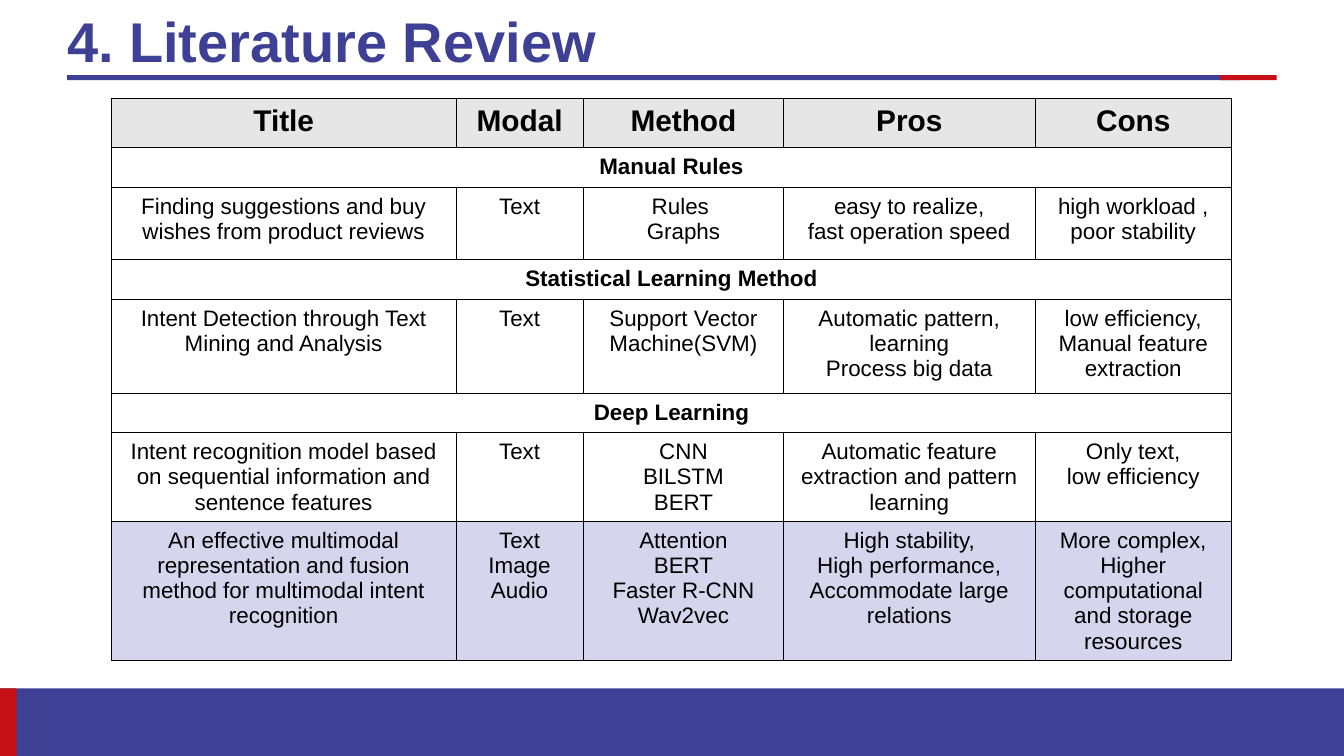
from lxml import etree
from pptx import Presentation
from pptx.dml.color import RGBColor
from pptx.enum.shapes import MSO_SHAPE
from pptx.enum.text import MSO_ANCHOR, MSO_AUTO_SIZE, PP_ALIGN
from pptx.oxml import parse_xml
from pptx.oxml.ns import nsdecls
from pptx.util import Pt

RECTANGLE = MSO_SHAPE.RECTANGLE
MIDDLE = MSO_ANCHOR.MIDDLE
NO_AUTOFIT = MSO_AUTO_SIZE.NONE
LEFT, CENTER = PP_ALIGN.LEFT, PP_ALIGN.CENTER

BLUE = RGBColor(0x3E, 0x40, 0x95)
RED = RGBColor(0xC5, 0x11, 0x16)
BLACK = RGBColor(0, 0, 0)
HEADER_GRAY = RGBColor(0xE7, 0xE6, 0xE6)
HIGHLIGHT = RGBColor(0xD5, 0xD5, 0xED)


def write_text(frame, text, size=12, color=BLACK, bold=False, align=CENTER, spacing=1.0):
    frame.text = text
    for paragraph in frame.paragraphs:
        paragraph.alignment = align
        paragraph.line_spacing = spacing
        paragraph.font.name = "Arial"
        paragraph.font.size = Pt(size)
        paragraph.font.bold = bold
        paragraph.font.color.rgb = color


def add_borders(cell, color=BLACK, width=0.5):
    properties = cell._tc.get_or_add_tcPr()
    for side in ("lnL", "lnR", "lnT", "lnB"):
        line = parse_xml(f'<a:{side} {nsdecls("a")} w="{Pt(width)}"/>')
        fill = etree.SubElement(line, line.tag.replace(side, "solidFill"))
        etree.SubElement(fill, line.tag.replace(side, "srgbClr"), val=str(color))
        properties.append(line)


presentation = Presentation()
presentation.slide_width = Pt(720)
presentation.slide_height = Pt(405)
slide = presentation.slides.add_slide(presentation.slide_layouts[5])

bars = [
    (36, 40.2, 628, 2.8, BLUE),
    (653.6, 40.2, 30.4, 2.8, RED),
    (0, 368.8, 720, 36.2, BLUE),
    (0, 368.8, 9, 36.2, RED),
]
for left, top, width, height, color in bars:
    bar = slide.shapes.add_shape(RECTANGLE, Pt(left), Pt(top), Pt(width), Pt(height))
    bar.shadow.inherit = False
    bar.fill.solid()
    bar.fill.fore_color.rgb = color
    bar.line.fill.background()

title = slide.shapes.title
title.left, title.top, title.width, title.height = Pt(36), Pt(0), Pt(648), Pt(48)
title_frame = title.text_frame
title_frame.auto_size = NO_AUTOFIT
title_frame.vertical_anchor = MIDDLE
title_frame.margin_left = title_frame.margin_right = 0
title_frame.margin_top = title_frame.margin_bottom = 0
write_text(title_frame, "4. Literature Review", size=30, color=BLUE, bold=True,
           align=LEFT, spacing=0.9)

rows = [
    ["Title", "Modal", "Method", "Pros", "Cons"],
    ["Manual Rules"],
    ["Finding suggestions and buy wishes from product reviews", "Text",
     "Rules \nGraphs", "easy to realize,\nfast operation speed",
     "high workload ,\npoor stability"],
    ["Statistical Learning Method"],
    ["Intent Detection through Text Mining and Analysis", "Text",
     "Support Vector Machine(SVM)", "Automatic pattern, learning\nProcess big data",
     "low efficiency,\nManual feature extraction"],
    ["Deep Learning"],
    ["Intent recognition model based on sequential information and sentence features",
     "Text", "CNN\nBILSTM\nBERT", "Automatic feature extraction and pattern learning",
     "Only text,\nlow efficiency"],
    ["An effective multimodal representation and fusion method for multimodal intent recognition",
     "Text\nImage\nAudio", "Attention\nBERT\nFaster R-CNN\nWav2vec",
     "High stability,\nHigh performance,\nAccommodate large relations",
     "More complex,\nHigher computational and storage resources"],
]
column_widths = [184.6, 68.2, 107.4, 134.6, 105.4]
row_heights = [26.2, 21.4, 38.8, 21.4, 50.2, 21.4, 47.6, 74.4]
row_fills = {0: HEADER_GRAY, len(rows) - 1: HIGHLIGHT}

table = slide.shapes.add_table(
    len(rows), len(column_widths), Pt(59.7), Pt(52.6),
    Pt(sum(column_widths)), Pt(sum(row_heights))).table
table.first_row = False
table.horz_banding = False
for column, width in zip(table.columns, column_widths):
    column.width = Pt(width)

for index, (texts, height) in enumerate(zip(rows, row_heights)):
    row = table.rows[index]
    row.height = Pt(height)
    is_section = len(texts) == 1
    for cell in row.cells:
        add_borders(cell)
        if index in row_fills:
            cell.fill.solid()
            cell.fill.fore_color.rgb = row_fills[index]
        else:
            cell.fill.background()
    if is_section:
        row.cells[0].merge(row.cells[len(column_widths) - 1])
    for cell, text in zip(row.cells, texts):
        write_text(cell.text_frame, text, size=16 if index == 0 else 12,
                   bold=index == 0 or is_section)

presentation.save("out.pptx")
